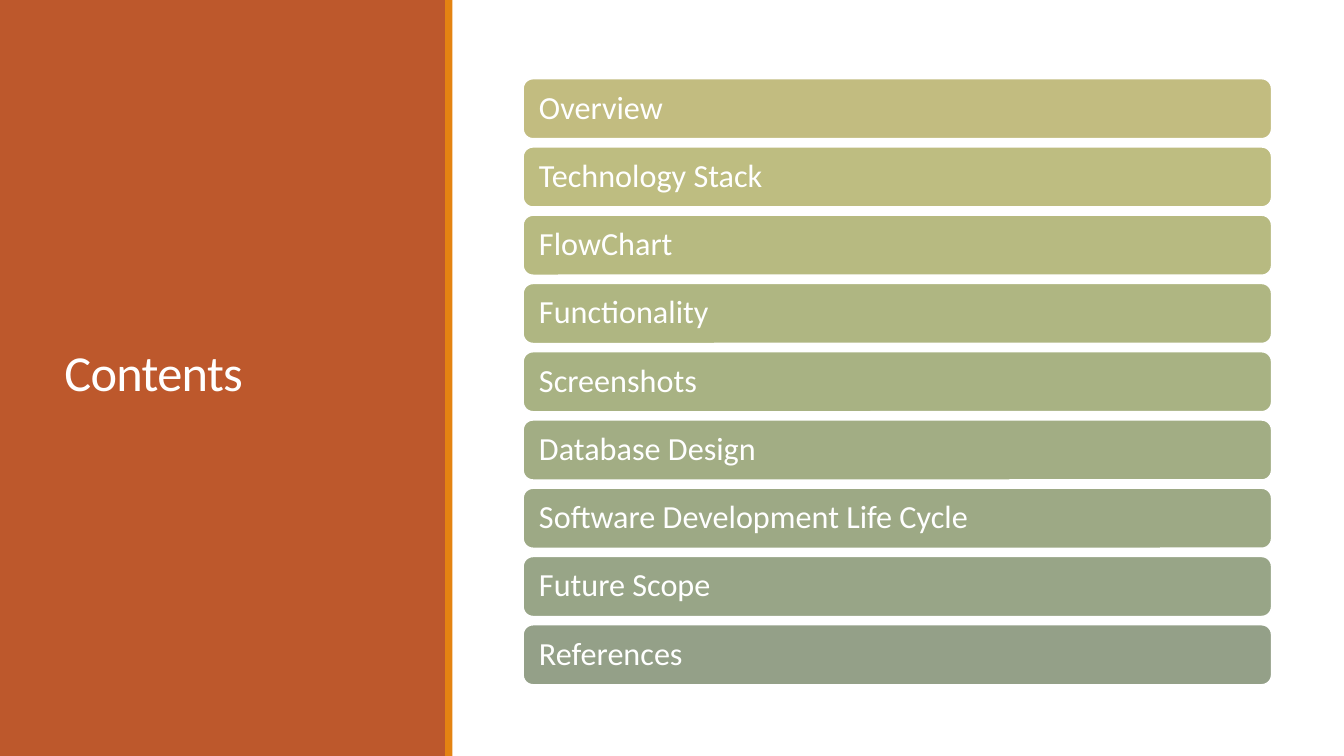
from dataclasses import dataclass

from pptx import Presentation
from pptx.dml.color import RGBColor as RGB
from pptx.enum.shapes import MSO_SHAPE as Shape
from pptx.enum.text import MSO_ANCHOR as Anchor, MSO_AUTO_SIZE as Fit, PP_ALIGN as Align
from pptx.util import Cm, Pt


@dataclass(frozen=True)
class Theme:
    font: str = "Calibri"
    white: str = "FFFFFF"
    rust: str = "BD582C"
    amber: str = "E48312"
    head: int = 36
    item: int = 23


class Deck:
    def __init__(self, theme):
        self.theme = theme
        self.prs = Presentation()
        self.prs.slide_width, self.prs.slide_height = Cm(33.87), Cm(19.05)
        self.slide = self.prs.slides.add_slide(self.prs.slide_layouts[5])

    def block(self, box, fill, kind=Shape.RECTANGLE):
        shape = self.slide.shapes.add_shape(kind, *map(Cm, box))
        shape.shadow.inherit = False
        shape.fill.solid()
        shape.fill.fore_color.rgb = RGB.from_string(fill)
        shape.line.fill.background()
        return shape

    def label(self, shape, text, size, lead):
        """Set left-aligned, vertically centred white text; lead is the line spacing."""
        frame = shape.text_frame
        frame.text = text
        frame.word_wrap = True
        frame.auto_size = Fit.NONE
        frame.vertical_anchor = Anchor.MIDDLE
        para = frame.paragraphs[0]
        para.alignment = Align.LEFT
        para.line_spacing = lead
        run = para.runs[0]
        run.font.name, run.font.size = self.theme.font, Pt(size)
        run.font.color.rgb = RGB.from_string(self.theme.white)
        return run

    def title(self, box, text):
        shape = self.slide.shapes.title
        shape.left, shape.top, shape.width, shape.height = map(Cm, box)
        run = self.label(shape, text, self.theme.head, 0.85)
        run._r.get_or_add_rPr().set("spc", "-50")
        # Bring the title in front of the side panel
        self.slide.shapes._spTree.append(shape._element)

    def bar(self, box, text, fill):
        shape = self.block(box, fill, Shape.ROUNDED_RECTANGLE)
        shape.line.color.rgb = RGB.from_string(self.theme.white)
        shape.line.width = Pt(1.25)
        self.label(shape, text, self.theme.item, 0.9)
        frame = shape.text_frame
        frame.margin_left = frame.margin_right = Cm(0.33)

    def save(self):
        self.prs.save("out.pptx")


ITEMS = [
    ("Overview", "C2BC80"),
    ("Technology Stack", "BEBD81"),
    ("FlowChart", "B7BA81"),
    ("Functionality", "AFB682"),
    ("Screenshots", "A8B283"),
    ("Database Design", "A2AD84"),
    ("Software Development Life Cycle", "9DA985"),
    ("Future Scope", "98A587"),
    ("References", "94A088"),
]
TOP, STEP = 1.98, 1.72


def main():
    theme = Theme()
    deck = Deck(theme)
    deck.block((0, 0, 11.25, 19.05), theme.rust)
    deck.title((1.37, 1.45, 8.56, 16.03), "Contents")
    deck.block((11.22, 0, 0.18, 19.05), theme.amber)
    for row, (text, fill) in enumerate(ITEMS):
        deck.bar((13.18, TOP + row * STEP, 18.87, 1.52), text, fill)
    deck.save()


if __name__ == "__main__":
    main()
